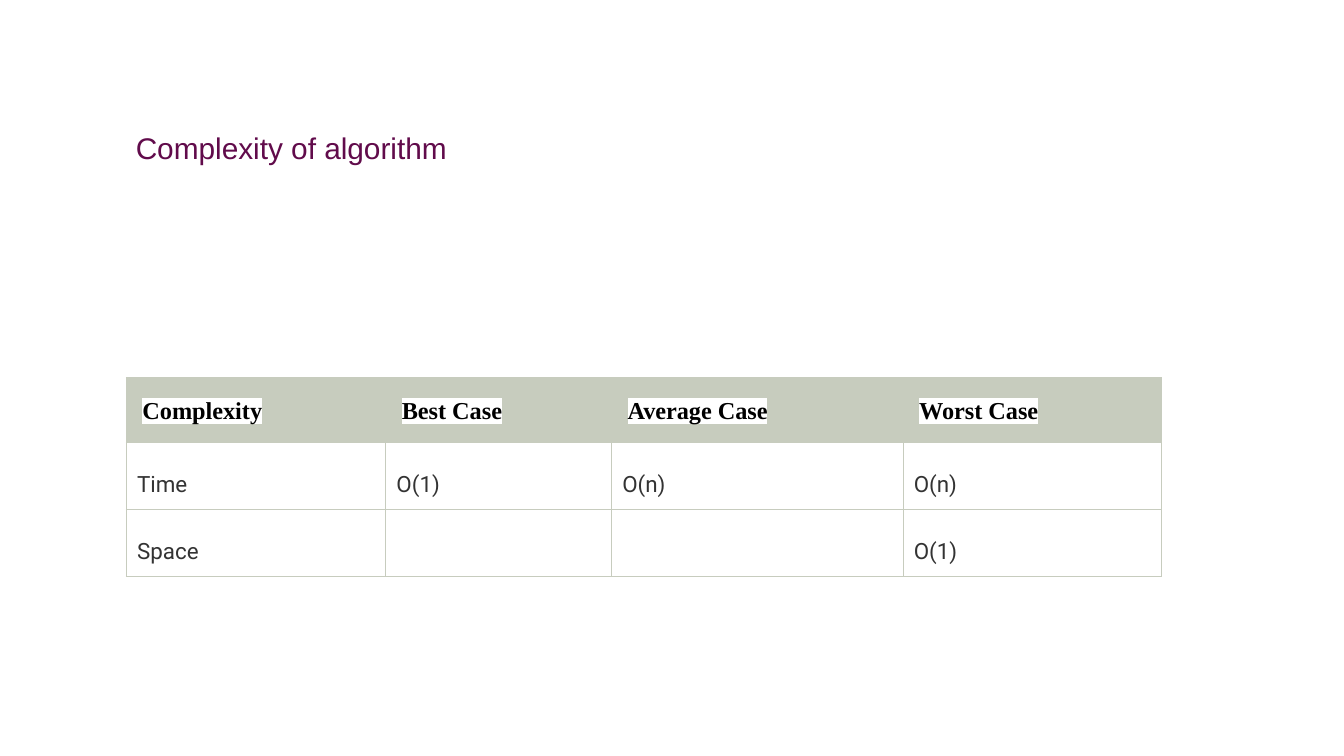
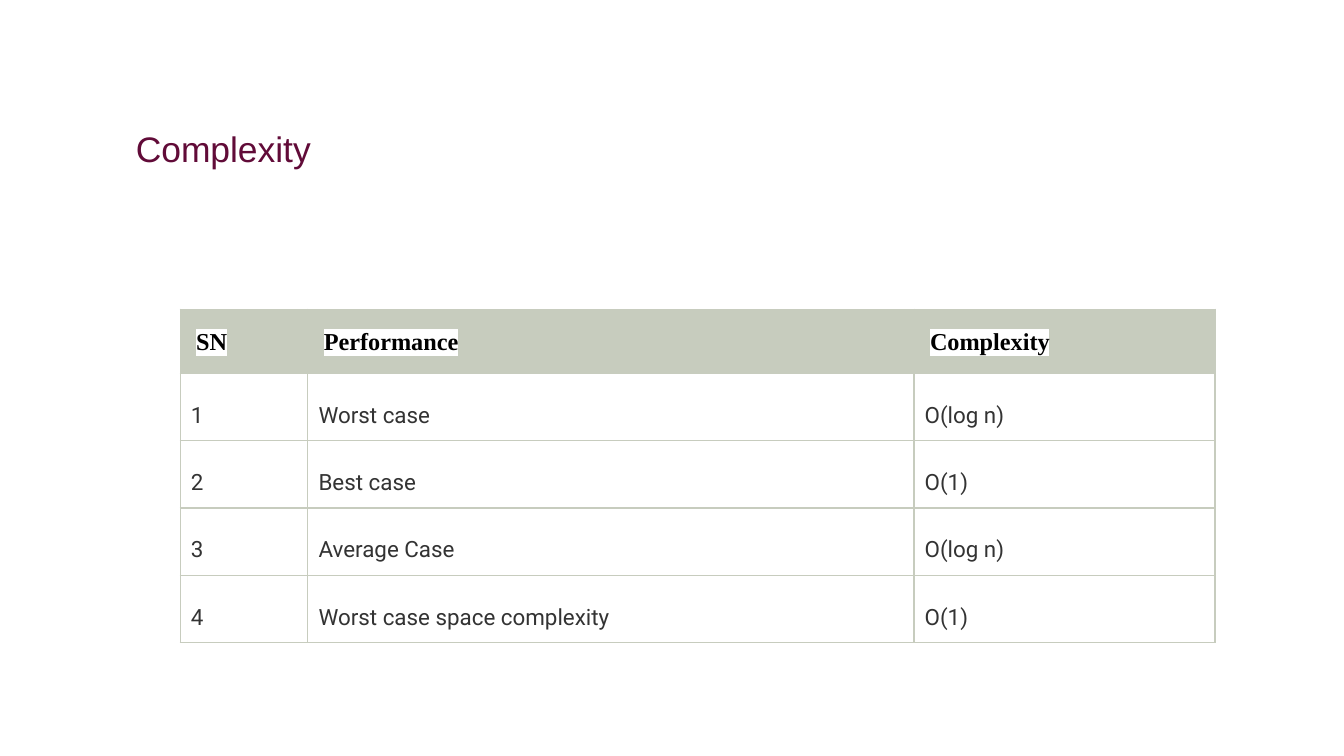
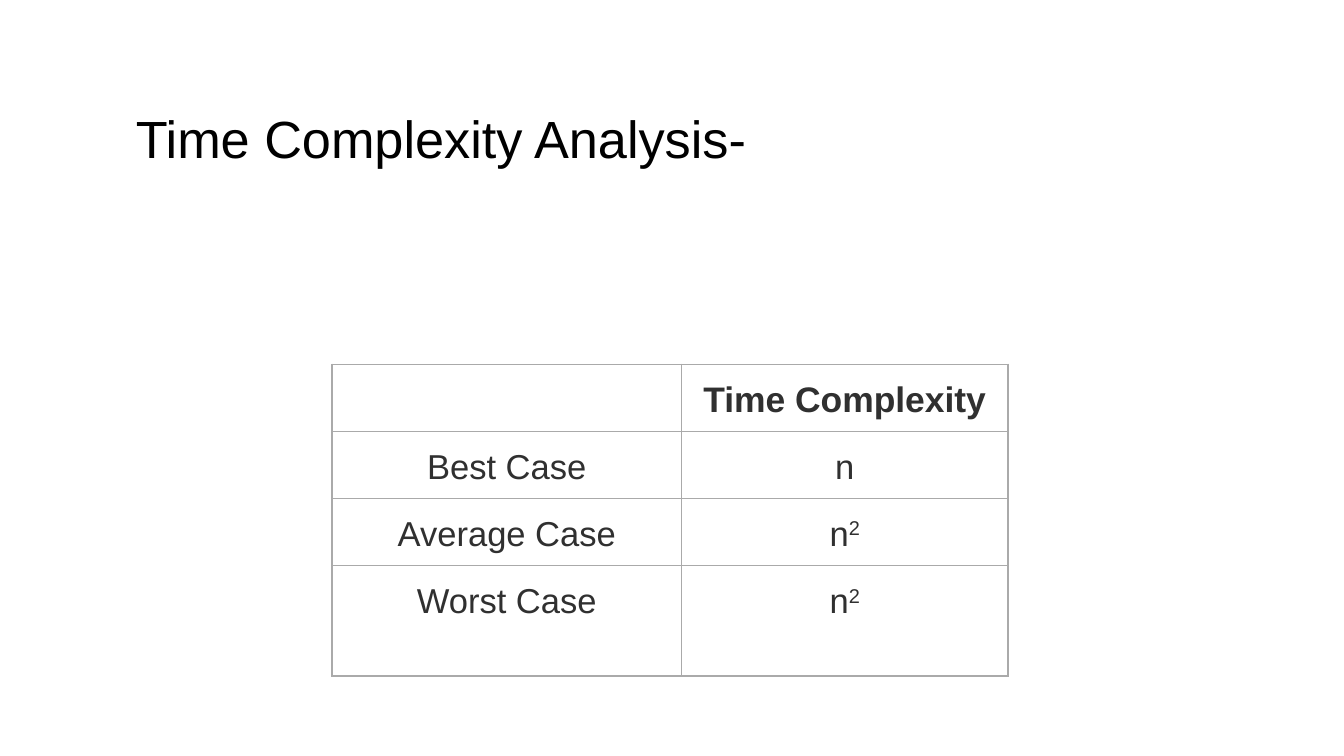
"""Build three slides of algorithm complexity tables."""
from lxml.etree import SubElement
from pptx import Presentation
from pptx.dml.color import RGBColor
from pptx.enum.text import MSO_ANCHOR, MSO_AUTO_SIZE, PP_ALIGN
from pptx.oxml.ns import qn
from pptx.util import Inches, Pt

BLACK = RGBColor(0x00, 0x00, 0x00)
WHITE = RGBColor(0xFF, 0xFF, 0xFF)
PLUM = RGBColor(0x61, 0x0B, 0x4B)
WINE = RGBColor(0x61, 0x0B, 0x38)
SAGE = RGBColor(0xC7, 0xCC, 0xBE)
SILVER = RGBColor(0xAA, 0xAA, 0xAA)
CHARCOAL = RGBColor(0x33, 0x33, 0x33)
GRAPHITE = RGBColor(0x30, 0x30, 0x30)

SAGE_HEADER = dict(font="Times New Roman", size=13, color=BLACK, bold=True, fill=SAGE,
                   align=PP_ALIGN.LEFT, spacing=1.15, margins=(0.12, 0.12))
SAGE_BODY = dict(font="Roboto", size=12, color=CHARCOAL, bold=False, fill=WHITE,
                 align=PP_ALIGN.JUSTIFY, spacing=1.7, margins=(0.08, 0.08))
PLAIN_BODY = dict(font="Arial", size=18.5, color=GRAPHITE, bold=False, fill=WHITE,
                  align=PP_ALIGN.CENTER, spacing=1.15, margins=(0.1, 0.08))
PLAIN_HEADER = dict(PLAIN_BODY, size=19, bold=True)

SLIDES = [
    dict(title="Complexity of algorithm", size=16, color=PLUM, align=PP_ALIGN.JUSTIFY,
         spacing=1.3, highlight=True, corner=(0.94, 2.81), border=SAGE,
         header=SAGE_HEADER, body=SAGE_BODY,
         widths=[1.93, 1.68, 2.17, 1.92], heights=[0.48, 0.5, 0.5],
         rows=[["Complexity", "Best Case", "Average Case", "Worst Case"],
               ["Time", "O(1)", "O(n)", "O(n)"],
               ["Space", "", "", "O(1)"]]),
    dict(title="Complexity", size=19, color=WINE, align=PP_ALIGN.JUSTIFY,
         spacing=1.3, highlight=True, corner=(1.34, 2.3), border=SAGE,
         header=SAGE_HEADER, body=SAGE_BODY,
         widths=[0.95, 4.51, 2.24], heights=[0.48] + [0.5] * 4,
         rows=[["SN", "Performance", "Complexity"],
               ["1", "Worst case", "O(log n)"],
               ["2", "Best case", "O(1)"],
               ["3", "Average Case", "O(log n)"],
               ["4", "Worst case space complexity", "O(1)"]]),
    dict(title="Time Complexity Analysis-", size=28, color=BLACK, align=PP_ALIGN.LEFT,
         spacing=0.9, highlight=False, corner=(2.47, 2.71), border=SILVER,
         header=PLAIN_HEADER, body=PLAIN_BODY,
         widths=[2.6, 2.43], heights=[0.5, 0.5, 0.5, 0.82],
         rows=[["", "Time Complexity"],
               ["Best Case", "n"],
               ["Average Case", "n^2"],
               ["Worst Case", "n^2"]]),
]


def write(para, text, font, size, color, bold, align, spacing, highlight=True):
    """Fill a paragraph, raising whatever follows a caret."""
    para.alignment = align
    para.line_spacing = spacing
    para.font.name = font
    para.font.size = Pt(size)
    para.font.bold = bold
    para.font.color.rgb = color
    for level, part in enumerate(text.split("^")):
        span = para.add_run()
        span.text = part
        properties = span._r.get_or_add_rPr()
        if level:
            properties.set("baseline", "30000")
        if highlight:
            marker = SubElement(properties, qn("a:highlight"))
            SubElement(marker, qn("a:srgbClr"), val=str(WHITE))


def outline(cell, color):
    """Draw all four borders of a cell."""
    properties = cell._tc.get_or_add_tcPr()
    for side in ("lnL", "lnR", "lnT", "lnB"):
        line = SubElement(properties, qn(f"a:{side}"), w=str(Pt(0.75)))
        fill = SubElement(line, qn("a:solidFill"))
        SubElement(fill, qn("a:srgbClr"), val=str(color))


deck = Presentation()
deck.slide_width = Inches(10)
deck.slide_height = deck.slide_width * 9 // 16

for content in SLIDES:
    page = deck.slides.add_slide(deck.slide_layouts.get_by_name("Title Only"))
    page.background.fill.solid()
    page.background.fill.fore_color.rgb = WHITE

    title = page.shapes.title
    title.left, title.top = Inches(0.94), Inches(0.5)
    title.width, title.height = Inches(8.1), Inches(1.11)
    frame = title.text_frame
    frame.auto_size = MSO_AUTO_SIZE.NONE
    frame.word_wrap = True
    frame.vertical_anchor = MSO_ANCHOR.MIDDLE
    frame.margin_left = frame.margin_right = Inches(0.07)
    frame.margin_top = frame.margin_bottom = Inches(0.04)
    write(frame.paragraphs[0], content["title"], "Arial", content["size"], content["color"],
          False, content["align"], content["spacing"], content["highlight"])

    rows, widths, heights = content["rows"], content["widths"], content["heights"]
    left, top = content["corner"]
    table = page.shapes.add_table(len(rows), len(widths), Inches(left), Inches(top),
                                  Inches(sum(widths)), Inches(sum(heights))).table
    table.first_row = table.horz_banding = False
    for column, width in zip(table.columns, widths):
        column.width = Inches(width)
    for row, height in zip(table.rows, heights):
        row.height = Inches(height)

    for row_index, texts in enumerate(rows):
        style = content["body"] if row_index else content["header"]
        side_margin, end_margin = style["margins"]
        for column_index, text in enumerate(texts):
            cell = table.cell(row_index, column_index)
            outline(cell, content["border"])
            cell.fill.solid()
            cell.fill.fore_color.rgb = style["fill"]
            if text:
                cell.margin_left = cell.margin_right = Inches(side_margin)
                cell.margin_top = cell.margin_bottom = Inches(end_margin)
                write(cell.text_frame.paragraphs[0], text, style["font"], style["size"],
                      style["color"], style["bold"], style["align"], style["spacing"])

deck.save("out.pptx")
